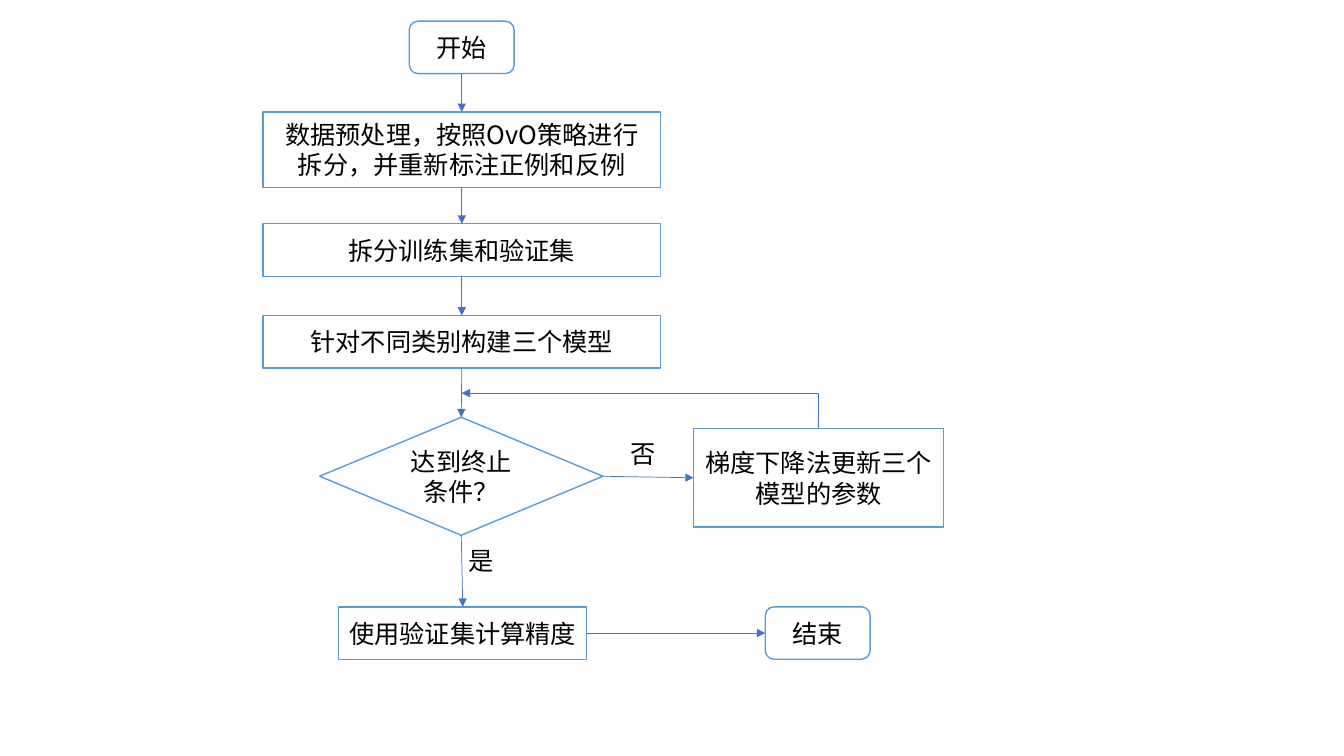
import pptx
import pptx.util
import pptx.dml.color
import pptx.enum.shapes
import pptx.enum.text
import pptx.oxml
import pptx.oxml.ns
import lxml.etree

Inches = pptx.util.Inches
Pt = pptx.util.Pt
RGB = pptx.dml.color.RGBColor.from_string
Kind = pptx.enum.shapes.MSO_SHAPE
Link = pptx.enum.shapes.MSO_CONNECTOR
Align = pptx.enum.text.PP_ALIGN
qn = pptx.oxml.ns.qn

COLORS = {"fill": "FFFFFF", "edge": "5B9BD5", "arrow": "4472C4", "text": "000000"}
FONT = "Noto Sans CJK SC"
TOP, LEFT, BOTTOM, RIGHT = range(4)

deck = pptx.Presentation()
deck.slide_width, deck.slide_height = Inches(13.33), Inches(7.5)
slide = deck.slides.add_slide(deck.slide_layouts[6])


def write(shape, text, align):
    frame = shape.text_frame
    frame.word_wrap = True
    para = frame.paragraphs[0]
    para.text = text
    para.alignment = align
    para.font.size = Pt(18)
    para.font.name = FONT
    para.font.color.rgb = RGB(COLORS["text"])
    lxml.etree.SubElement(para.font._rPr, qn("a:ea"), typeface=FONT)


def style(link, end):
    link.line.color.rgb = RGB(COLORS["arrow"])
    link.line.width = Pt(0.5)
    lxml.etree.SubElement(link.line._get_or_add_ln(), qn(end), type="triangle")
    lxml.etree.SubElement(link._element.spPr, qn("a:effectLst"))


steps = [
    ("start", "开始", Kind.ROUNDED_RECTANGLE, None, (4.06, 0.21, 1.04, 0.52)),
    ("prep", "数据预处理，按照OvO策略进行拆分，并重新标注正例和反例",
     Kind.ROUNDED_RECTANGLE, 0, (2.61, 1.11, 3.94, 0.75)),
    ("split", "拆分训练集和验证集", Kind.ROUNDED_RECTANGLE, 0, (2.61, 2.22, 3.94, 0.52)),
    ("build", "针对不同类别构建三个模型", Kind.ROUNDED_RECTANGLE, 0, (2.61, 3.13, 3.94, 0.52)),
    ("test", "达到终止条件？", Kind.DIAMOND, None, (3.17, 4.14, 2.81, 1.17)),
    ("update", "梯度下降法更新三个模型的参数", Kind.ROUNDED_RECTANGLE, 0, (6.88, 4.25, 2.48, 0.98)),
    ("score", "使用验证集计算精度", Kind.ROUNDED_RECTANGLE, 0, (3.36, 6.02, 2.46, 0.52)),
    ("end", "结束", Kind.ROUNDED_RECTANGLE, None, (7.59, 6.02, 1.04, 0.52)),
]
nodes = {}
for name, text, kind, curve, place in steps:
    node = slide.shapes.add_shape(kind, *map(Inches, place))
    node.shadow.inherit = False
    node.fill.solid()
    node.fill.fore_color.rgb = RGB(COLORS["fill"])
    node.line.color.rgb = RGB(COLORS["edge"])
    node.line.width = Pt(1)
    if curve is not None:
        node.adjustments[0] = curve
    node.text_frame.vertical_anchor = pptx.enum.text.MSO_ANCHOR.MIDDLE
    write(node, text, Align.CENTER)
    nodes[name] = node

flows = [
    ("start", BOTTOM, "prep", TOP),
    ("prep", BOTTOM, "split", TOP),
    ("split", BOTTOM, "build", TOP),
    ("build", BOTTOM, "test", TOP),
    ("test", BOTTOM, "score", TOP),
    ("test", RIGHT, "update", LEFT),
    ("score", RIGHT, "end", LEFT),
]
for first, leave, last, enter in flows:
    link = slide.shapes.add_connector(Link.STRAIGHT, 0, 0, 0, 0)
    link.begin_connect(nodes[first], leave)
    link.end_connect(nodes[last], enter)
    style(link, "a:tailEnd")

loop = slide.shapes.add_connector(
    Link.ELBOW, Inches(4.58), Inches(3.9), Inches(8.12), Inches(4.25))
loop._element.spPr.find(qn("a:prstGeom")).set("prst", "bentConnector2")
style(loop, "a:headEnd")

for text, left, top in [("是", 4.55, 5.36), ("否", 6.15, 4.3)]:
    label = slide.shapes.add_textbox(Inches(left), Inches(top), Inches(1.11), Inches(0.4))
    write(label, text, Align.LEFT)

deck.save("out.pptx")
